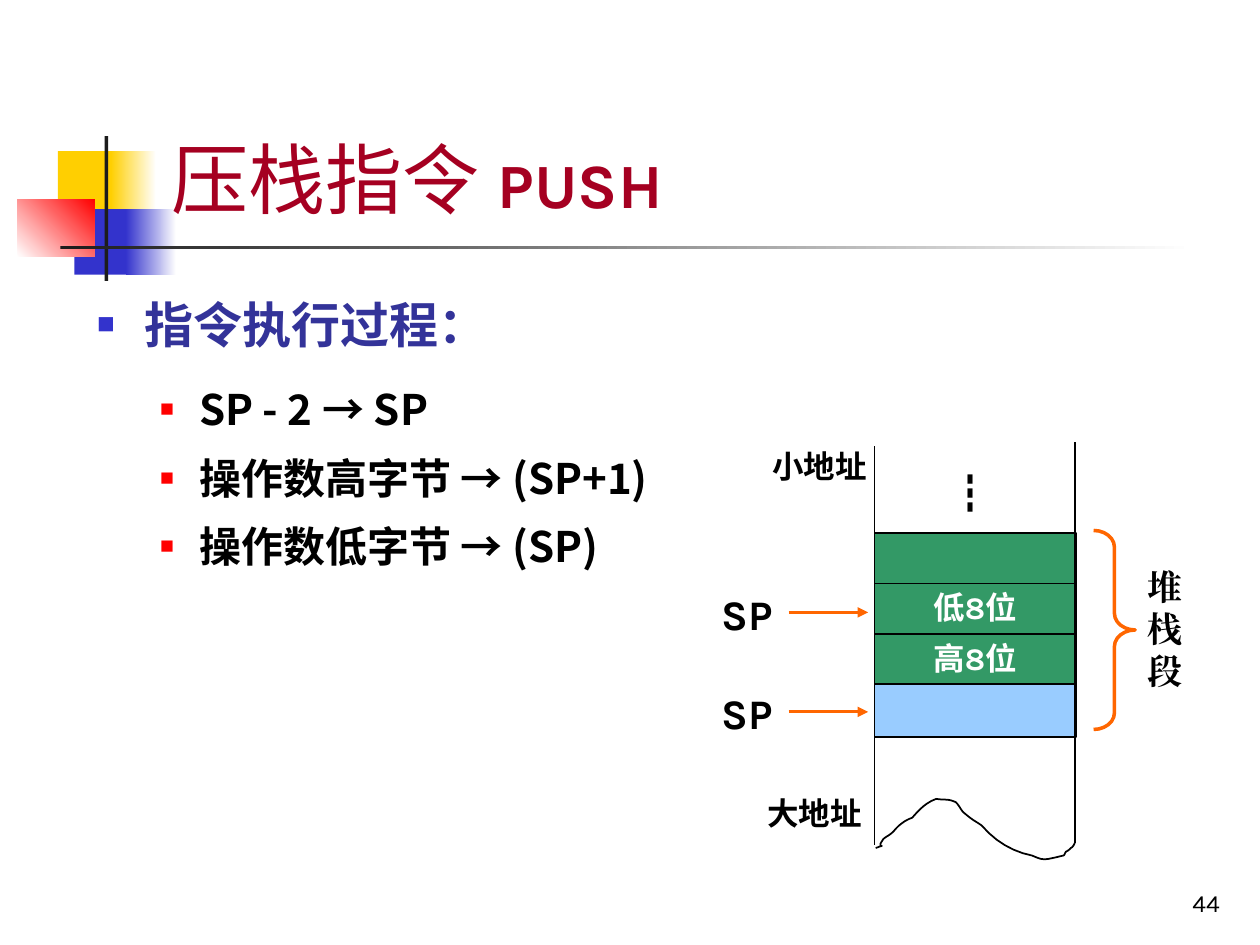
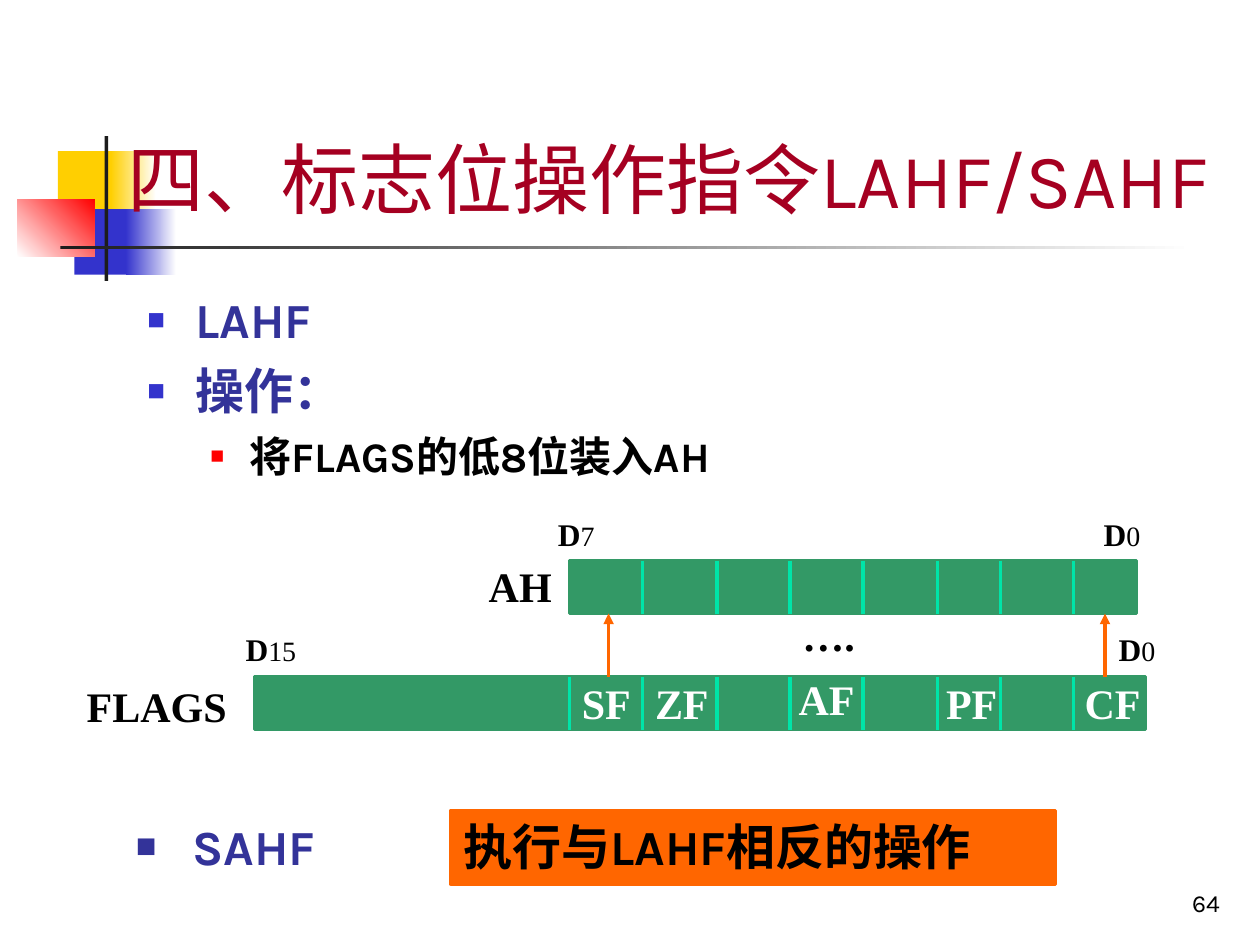
"""Build two lecture slides on the PUSH and LAHF/SAHF instructions."""
from dataclasses import dataclass
from typing import NamedTuple, Optional

from lxml import etree
from pptx import Presentation
from pptx.dml.color import RGBColor
from pptx.enum.shapes import MSO_CONNECTOR, MSO_SHAPE
from pptx.enum.text import MSO_ANCHOR, MSO_AUTO_SIZE, PP_ALIGN
from pptx.oxml.ns import qn
from pptx.util import Inches, Pt

RECTANGLE = MSO_SHAPE.RECTANGLE
RIGHT_BRACE = MSO_SHAPE.RIGHT_BRACE
STRAIGHT = MSO_CONNECTOR.STRAIGHT
BOTTOM = MSO_ANCHOR.BOTTOM
TOP = MSO_ANCHOR.TOP
LEFT, RIGHT, JUSTIFY = PP_ALIGN.LEFT, PP_ALIGN.RIGHT, PP_ALIGN.JUSTIFY
FIXED = MSO_AUTO_SIZE.NONE
TITLE_AND_CONTENT = 1


@dataclass(frozen=True)
class Theme:
    """Colours, fonts and type sizes of both slides."""
    black: str = "000000"
    white: str = "FFFFFF"
    ink: str = "1C1C1C"
    yellow: str = "FFCF01"
    blue: str = "3333CC"
    red: str = "FF0000"
    crimson: str = "A50021"
    indigo: str = "333399"
    green: str = "339966"
    sky: str = "99CCFF"
    mint: str = "00E4A8"
    orange: str = "FF6600"
    sans: str = "Karla"
    cjk: str = "Noto Sans CJK SC"
    serif: str = "Times New Roman"
    title: int = 44
    mnemonic: int = 36
    heading: int = 28
    item: int = 24
    segment: int = 20
    label: int = 18
    index: int = 16
    page: int = 14


THEME = Theme()


class Box(NamedTuple):
    """A rectangle in inches."""
    left: float
    top: float
    width: float
    height: float

    def emu(self) -> list:
        """Return the four lengths for python-pptx."""
        return [Inches(value) for value in self]


class Bullet(NamedTuple):
    """A square bullet with its size and hanging indent."""
    color: str
    percent: int
    margin: float
    hang: float


class Item(NamedTuple):
    """One line of a body list."""
    text: str
    level: int
    after: float
    spacing: float = 1.0


class Decoration(NamedTuple):
    """A rectangle of the shared title band."""
    box: Box
    start: str
    end: Optional[str] = None
    angle: int = 0


BULLETS = (Bullet(THEME.blue, 60, 0.38, 0.38), Bullet(THEME.red, 55, 0.81, 0.31))
SAHF_BULLET = Bullet(THEME.indigo, 70, 0.45, 0.45)
BAND = (
    Decoration(Box(0.46, 1.2, 0.48, 0.52), THEME.yellow),
    Decoration(Box(0.88, 1.2, 0.36, 0.52), THEME.yellow, THEME.white),
    Decoration(Box(0.59, 1.66, 0.46, 0.52), THEME.blue),
    Decoration(Box(1, 1.66, 0.4, 0.52), THEME.blue, THEME.white),
    Decoration(Box(0.14, 1.58, 0.61, 0.46), THEME.white, THEME.red, 45),
    Decoration(Box(0.83, 1.08, 0.03, 1.15), THEME.ink),
    Decoration(Box(0.48, 1.95, 9, 0.03), THEME.ink, THEME.white),
)


def rgb(color: str) -> RGBColor:
    """Turn a hex string into a colour."""
    return RGBColor.from_string(color)


def write(paragraph, text: str, *, size: float = THEME.item, font: str = THEME.sans,
          color: str = THEME.black, bold: bool = True) -> None:
    """Add formatted text to a paragraph."""
    run = paragraph.add_run()
    run.text = text
    run.font.size, run.font.bold, run.font.name = Pt(size), bold, font
    run.font.color.rgb = rgb(color)
    properties = run._r.get_or_add_rPr()
    properties.set("lang", "zh-CN")
    etree.SubElement(properties, qn("a:ea")).set("typeface", font)


def add_bullet(paragraph, bullet: Bullet) -> None:
    """Give a paragraph a square bullet."""
    properties = paragraph._p.get_or_add_pPr()
    properties.set("marL", str(Inches(bullet.margin)))
    properties.set("indent", str(-Inches(bullet.hang)))
    color = etree.SubElement(properties, qn("a:buClr"))
    etree.SubElement(color, qn("a:srgbClr")).set("val", bullet.color)
    etree.SubElement(properties, qn("a:buSzPct")).set("val", str(bullet.percent * 1000))
    etree.SubElement(properties, qn("a:buFont")).set("typeface", THEME.serif)
    etree.SubElement(properties, qn("a:buChar")).set("char", "■")


def add_text(slide, box: Box, text: str, *, anchor=TOP, align=LEFT,
             bullet: Optional[Bullet] = None, **style):
    """Add a wrapped text box and return its paragraph."""
    frame = slide.shapes.add_textbox(*box.emu()).text_frame
    frame.word_wrap, frame.vertical_anchor = True, anchor
    paragraph = frame.paragraphs[0]
    if bullet:
        add_bullet(paragraph, bullet)
    paragraph.alignment = align
    write(paragraph, text, **style)
    return paragraph


def add_shape(slide, box: Box, fill: Optional[str] = None, line: Optional[str] = None,
              width: float = 1, kind=RECTANGLE):
    """Add a flat preset shape."""
    shape = slide.shapes.add_shape(kind, *box.emu())
    finish(shape, fill, line, width)
    return shape


def finish(shape, fill: Optional[str], line: Optional[str], width: float = 1) -> None:
    """Set fill and outline and remove the shadow."""
    shape.shadow.inherit = False
    if fill:
        shape.fill.solid()
        shape.fill.fore_color.rgb = rgb(fill)
    else:
        shape.fill.background()
    if line:
        shape.line.color.rgb, shape.line.width = rgb(line), Pt(width)
    else:
        shape.line.fill.background()


def add_line(slide, x1: float, y1: float, x2: float, y2: float, *,
             color: str = THEME.black, width: float = 1, arrow: bool = False) -> None:
    """Add a straight line, with an arrowhead at its end on request."""
    line = slide.shapes.add_connector(STRAIGHT, *(Inches(v) for v in (x1, y1, x2, y2)))
    line.line.color.rgb, line.line.width = rgb(color), Pt(width)
    if arrow:
        etree.SubElement(line.line._get_or_add_ln(), qn("a:tailEnd")).set("type", "triangle")
    etree.SubElement(line._element.spPr, qn("a:effectLst"))


def add_band(slide, layout) -> None:
    """Draw the title band once and place it on the layout."""
    for placeholder in list(layout.placeholders):
        if placeholder.placeholder_format.idx >= 10:
            placeholder.element.getparent().remove(placeholder.element)
    for part in BAND:
        shape = add_shape(slide, part.box, part.start)
        if part.end:
            shape.fill.gradient()
            shape.fill.gradient_angle = part.angle
            for stop, color in zip(shape.fill.gradient_stops, (part.start, part.end)):
                stop.color.rgb = rgb(color)
        layout.shapes.element.append(shape.element)


def place(placeholder, box: Box):
    """Move a placeholder and return its text frame."""
    placeholder.left, placeholder.top, placeholder.width, placeholder.height = box.emu()
    frame = placeholder.text_frame
    frame.auto_size, frame.word_wrap = FIXED, True
    return frame


def add_title(slide, box: Box, text: str):
    """Fill the title placeholder and return its paragraph."""
    frame = place(slide.shapes.title, box)
    frame.vertical_anchor = BOTTOM
    paragraph = frame.paragraphs[0]
    paragraph.alignment = LEFT
    write(paragraph, text, size=THEME.title, color=THEME.crimson, bold=False)
    return paragraph


def add_list(slide, box: Box, items: tuple, font: str, align=LEFT) -> None:
    """Fill the body placeholder with a two-level list."""
    frame = place(slide.placeholders[1], box)
    for number, item in enumerate(items):
        paragraph = frame.add_paragraph() if number else frame.paragraphs[0]
        size = (THEME.heading, THEME.item)[item.level]
        add_bullet(paragraph, BULLETS[item.level])
        paragraph.level, paragraph.alignment = item.level, align
        paragraph.line_spacing = item.spacing
        paragraph.space_before = Pt(size * 0.2 if number else 0)
        paragraph.space_after = Pt(size * item.after)
        write(paragraph, item.text, size=size, font=font,
              color=(THEME.indigo, THEME.black)[item.level])


def add_page_number(slide, number: int) -> None:
    """Add the page number at the bottom right."""
    add_text(slide, Box(7.7, 6.83, 2.08, 0.5), str(number), anchor=BOTTOM, align=RIGHT,
             size=THEME.page, bold=False)


def add_torn_edge(slide) -> None:
    """Draw the wavy lower end of the memory column."""
    start = (6.95, 6.73)
    curves = (
        (7.06, 6.69, 6.94, 6.75, 7.01, 6.66), (7.03, 6.64, 7.06, 6.63, 7.09, 6.6),
        (7.13, 6.55, 7.18, 6.51, 7.24, 6.49), (7.3, 6.42, 7.35, 6.37, 7.43, 6.34),
        (7.48, 6.35, 7.53, 6.34, 7.57, 6.36), (7.6, 6.36, 7.63, 6.44, 7.65, 6.45),
        (7.72, 6.51, 7.73, 6.51, 7.79, 6.55), (7.9, 6.68, 8.04, 6.76, 8.19, 6.79),
        (8.29, 6.83, 8.27, 6.83, 8.44, 6.79), (8.45, 6.79, 8.45, 6.77, 8.46, 6.76),
        (8.48, 6.75, 8.49, 6.74, 8.5, 6.73), (8.52, 6.72, 8.53, 6.69, 8.53, 6.69),
    )
    steps = 6
    points, here = [], start
    for x1, y1, x2, y2, x3, y3 in curves:
        for t in (step / steps for step in range(1, steps + 1)):
            weights = ((1 - t) ** 3, 3 * t * (1 - t) ** 2, 3 * t * t * (1 - t), t ** 3)
            points.append(tuple(Inches(sum(w * v for w, v in zip(weights, axis)))
                                for axis in ((here[0], x1, x2, x3), (here[1], y1, y2, y3))))
        here = (x3, y3)
    edge = slide.shapes.build_freeform(Inches(start[0]), Inches(start[1]))
    edge.add_line_segments(points, close=False)
    finish(edge.convert_to_shape(), None, THEME.black)


def build_push(slide) -> None:
    """Fill the slide on PUSH."""
    title = add_title(slide, Box(1.26, 0.23, 8.52, 1.6), "压栈指令 ")
    write(title, "PUSH", size=THEME.mnemonic, color=THEME.crimson)
    steps = ("SP - 2 → SP", "操作数高字节 → (SP+1)", "操作数低字节 → (SP)")
    add_list(slide, Box(0.67, 2.24, 5.44, 3.87),
             (Item("指令执行过程：", 0, 0.3, 1.1), *(Item(step, 1, 0.05, 1.15) for step in steps)),
             THEME.cjk, JUSTIFY)
    for row, color in enumerate((THEME.green,) * 3 + (THEME.sky,)):
        add_shape(slide, Box(6.94, 4.23 + 0.4 * row, 1.6, 0.42), color, THEME.black)
    add_line(slide, 6.94, 3.54, 6.94, 6.71)
    add_line(slide, 8.53, 3.51, 8.53, 6.69)
    add_torn_edge(slide)
    add_text(slide, Box(7.44, 3.66, 0.67, 0.5), "┇", font=THEME.cjk, bold=False)
    for pointer_top in (4.62, 5.41):
        add_text(slide, Box(5.63, pointer_top, 0.9, 0.5), "SP")
        add_line(slide, 6.26, pointer_top + 0.24, 6.89, pointer_top + 0.24,
                 color=THEME.orange, width=1.75, arrow=True)
    add_text(slide, Box(9.01, 4.44, 0.5, 1.1), "堆栈段", size=THEME.segment, font=THEME.serif)
    brace = add_shape(slide, Box(8.68, 4.21, 0.33, 1.58), None, THEME.orange, 2, RIGHT_BRACE)
    brace.adjustments[0] = 0.4
    for half, top in (("低8位", 4.62), ("高8位", 5.02)):
        add_text(slide, Box(7.31, top, 1.02, 0.4), half, size=THEME.label, color=THEME.white)
    for address, left, top in (("小地址", 6.03, 3.5), ("大地址", 5.99, 6.25)):
        add_text(slide, Box(left, top, 1.01, 0.4), address, size=THEME.label)


def build_lahf(slide) -> None:
    """Fill the slide on LAHF and SAHF."""
    add_title(slide, Box(0.91, 0.23, 9.06, 1.6), "四、标志位操作指令LAHF/SAHF")
    add_list(slide, Box(1.07, 2.25, 8.5, 1.65),
             (Item("LAHF", 0, 0.05), Item("操作：", 0, 0.05), Item("将FLAGS的低8位装入AH", 1, 0.05)),
             THEME.sans)
    dividers = (4.52, 5.1, 5.69, 6.27, 6.85, 7.44, 7.94, 8.52)
    registers = ((Box(2.02, 5.37, 7.07, 0.42), dividers), (Box(4.52, 4.45, 4.5, 0.42), dividers[1:]))
    for bar, borders in registers:
        add_shape(slide, bar, THEME.green, THEME.green, 2)
        for x in borders:
            add_line(slide, x, bar.top, x, bar.top + bar.height, color=THEME.mint, width=2)
    for flag, left, top in (("SF", 4.52, 5.33), ("ZF", 5.1, 5.33), ("AF", 6.24, 5.3),
                            ("PF", 7.41, 5.33), ("CF", 8.51, 5.33)):
        add_text(slide, Box(left, top, 0.75, 0.5), flag, font=THEME.serif, color=THEME.white)
    for x in (4.83, 8.77):
        add_line(slide, x, 5.37, x, 4.87, color=THEME.orange, width=2, arrow=True)
    for name, box in (("….", Box(6.27, 4.79, 0.75, 0.5)), ("AH", Box(3.78, 4.4, 0.75, 0.5)),
                      ("FLAGS", Box(0.59, 5.35, 1.5, 0.5))):
        add_text(slide, box, name, font=THEME.serif)
    for bit, left, top in (("15", 1.85, 4.95), ("0", 8.78, 4.95), ("7", 4.33, 4.04), ("0", 8.66, 4.04)):
        label = add_text(slide, Box(left, top, 0.75, 0.4), "D", size=THEME.label, font=THEME.serif)
        write(label, bit, size=THEME.index, font=THEME.serif, bold=False)
    add_text(slide, Box(0.98, 6.43, 2.36, 0.57), "SAHF", bullet=SAHF_BULLET,
             size=THEME.heading, color=THEME.indigo)
    inverse = add_shape(slide, Box(3.58, 6.43, 4.8, 0.59), THEME.orange, THEME.orange, 1.75)
    inverse.text_frame.vertical_anchor = TOP
    inverse.text_frame.paragraphs[0].alignment = LEFT
    write(inverse.text_frame.paragraphs[0], "执行与LAHF相反的操作", size=THEME.heading)


def main() -> None:
    """Build and save the presentation."""
    deck = Presentation()
    deck.slide_width, deck.slide_height = Inches(10), Inches(7.5)
    layout = deck.slide_layouts[TITLE_AND_CONTENT]
    for number, (page, build) in enumerate(((44, build_push), (64, build_lahf))):
        slide = deck.slides.add_slide(layout)
        if number == 0:
            add_band(slide, layout)
        add_page_number(slide, page)
        build(slide)
    deck.save("out.pptx")


if __name__ == "__main__":
    main()
